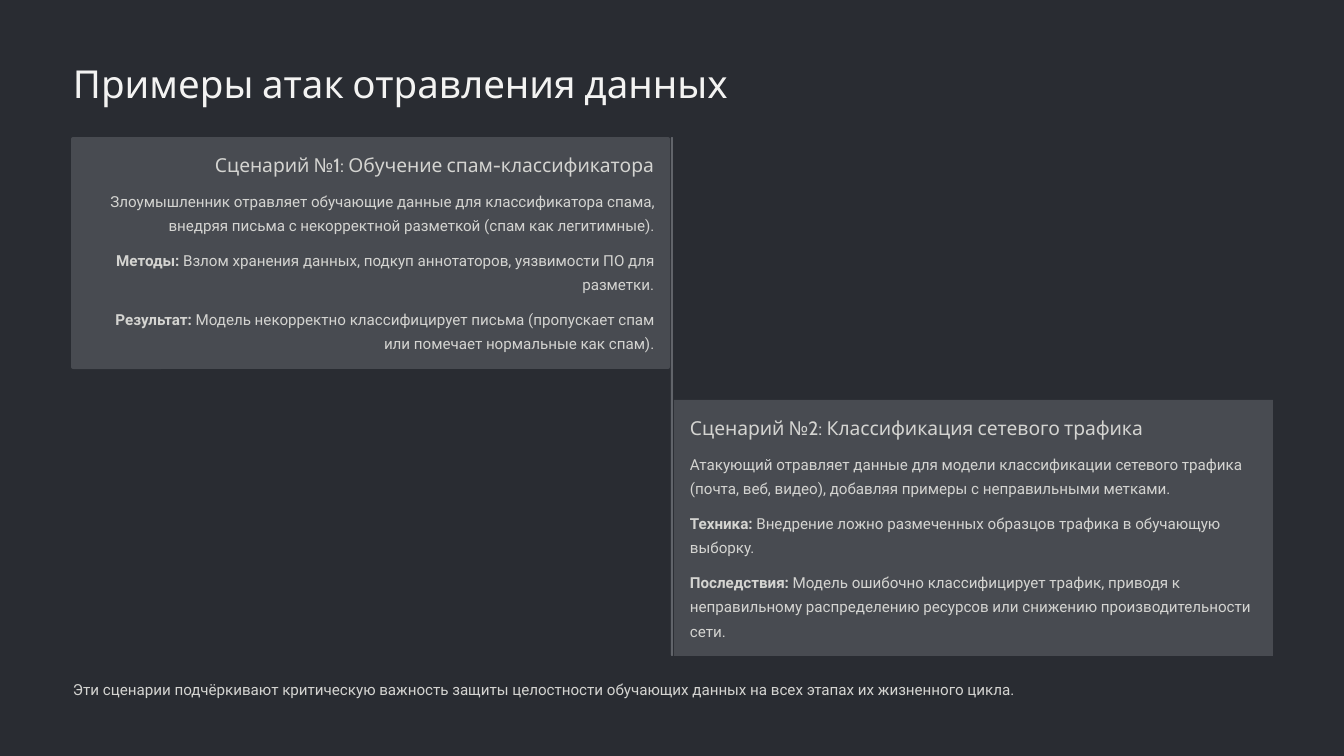
import pptx
import pptx.dml.color
import pptx.enum.shapes
import pptx.enum.text
import pptx.util

TITLE = "Примеры атак отравления данных"
CONCLUSION = (
    "Эти сценарии подчёркивают критическую важность защиты целостности "
    "обучающих данных на всех этапах их жизненного цикла."
)
# Each paragraph: bold lead, text, number of lines
SCENARIOS = [
    {
        "heading": "Сценарий №1: Обучение спам-классификатора",
        "heading_width": 450,
        "card": (71, 137, 599, 232),
        "rounded": True,
        "align": "RIGHT",
        "paragraphs": [
            ("", "Злоумышленник отравляет обучающие данные для классификатора спама, "
                 "внедряя письма с некорректной разметкой (спам как легитимные).", 2),
            ("Методы:", " Взлом хранения данных, подкуп аннотаторов, уязвимости ПО для "
                        "разметки.", 2),
            ("Результат:", " Модель некорректно классифицирует письма (пропускает спам "
                           "или помечает нормальные как спам).", 2),
        ],
    },
    {
        "heading": "Сценарий №2: Классификация сетевого трафика",
        "heading_width": 466,
        "card": (674, 400, 599, 256),
        "rounded": False,
        "align": "LEFT",
        "paragraphs": [
            ("", "Атакующий отравляет данные для модели классификации сетевого трафика "
                 "(почта, веб, видео), добавляя примеры с неправильными метками.", 2),
            ("Техника:", " Внедрение ложно размеченных образцов трафика в обучающую "
                         "выборку.", 2),
            ("Последствия:", " Модель ошибочно классифицирует трафик, приводя к "
                             "неправильному распределению ресурсов или снижению "
                             "производительности сети.", 3),
        ],
    },
]

BACKGROUND, CARD, DIVIDER = "292C32", "484B51", "61646A"
TITLE_COLOR, TEXT_COLOR = "F3F3F2", "D4D4D1"
PX = pptx.util.Inches(1) / 84
PADDING = 16
HEADING_HEIGHT = 24
HEADING_TO_BODY = 34
LINE_HEIGHT = 25
PARAGRAPH_GAP = 9


def px(*lengths):
    return [round(length * PX) for length in lengths]


def color(value):
    return pptx.dml.color.RGBColor.from_string(value)


def add_text(slide, text, box, lead="", size=13, font="Roboto", fill=TEXT_COLOR,
             spacing=21, align="LEFT", wrap=False):
    """Add one paragraph, with an optional bold lead before the text."""
    frame = slide.shapes.add_textbox(*px(*box)).text_frame
    frame.margin_left = frame.margin_right = frame.margin_top = frame.margin_bottom = 0
    frame.word_wrap = wrap
    paragraph = frame.paragraphs[0]
    paragraph.alignment = getattr(pptx.enum.text.PP_ALIGN, align)
    paragraph.line_spacing = pptx.util.Pt(spacing)
    for part, bold in ((lead, True), (text, False)):
        if part:
            run = paragraph.add_run()
            run.text = part
            run.font.name = font
            run.font.size = pptx.util.Pt(size)
            run.font.bold = bold
            run.font.color.rgb = color(fill)


def add_block(slide, box, fill, rounding=None):
    kinds = pptx.enum.shapes.MSO_SHAPE
    kind = kinds.RECTANGLE if rounding is None else kinds.ROUNDED_RECTANGLE
    shape = slide.shapes.add_shape(kind, *px(*box))
    if rounding is not None:
        shape.adjustments[0] = rounding
    shape.shadow.inherit = False
    shape.fill.solid()
    shape.fill.fore_color.rgb = color(fill)
    shape.line.fill.background()


def add_scenario(slide, scenario):
    left, top, width, height = scenario["card"]
    align = scenario["align"]
    add_block(slide, scenario["card"], CARD, 0.01 if scenario["rounded"] else None)

    text_left, text_width = left + PADDING, width - 2 * PADDING
    heading_width = scenario["heading_width"]
    heading_left = text_left + (text_width - heading_width if align == "RIGHT" else 0)
    y = top + PADDING - 1
    add_text(slide, scenario["heading"], (heading_left, y, heading_width, HEADING_HEIGHT),
             size=16.5, font="Cabin", spacing=20.5, align=align)

    y += HEADING_TO_BODY
    for lead, text, lines in scenario["paragraphs"]:
        text_height = lines * LINE_HEIGHT
        add_text(slide, text, (text_left, y, text_width, text_height),
                 lead=lead, align=align, wrap=True)
        y += text_height + PARAGRAPH_GAP


def main():
    presentation = pptx.Presentation()
    presentation.slide_width = pptx.util.Inches(16)
    presentation.slide_height = pptx.util.Inches(9)
    slide = presentation.slides.add_slide(presentation.slide_layouts[6])
    slide.background.fill.solid()
    slide.background.fill.fore_color.rgb = color(BACKGROUND)

    add_text(slide, TITLE, (73, 58, 680, 49), size=33, font="Cabin",
             fill=TITLE_COLOR, spacing=41.5)
    add_block(slide, (671, 137, 2, 519), DIVIDER, 0.5)
    for scenario in SCENARIOS:
        add_scenario(slide, scenario)
    add_text(slide, CONCLUSION, (73, 674, 1198, 25))
    presentation.save("out.pptx")


if __name__ == "__main__":
    main()
